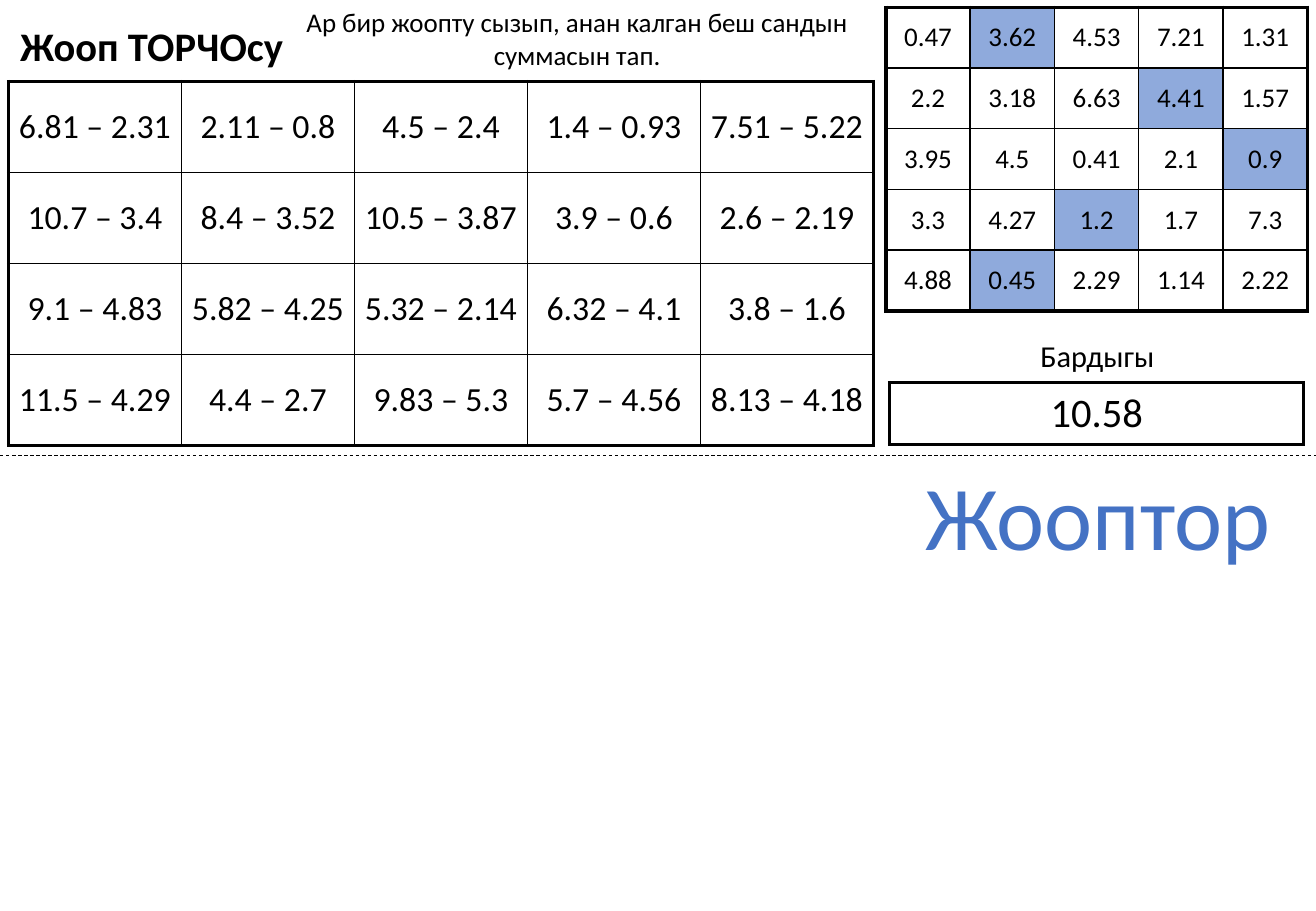
from lxml import etree
from pptx import Presentation
from pptx.dml.color import RGBColor
from pptx.enum.dml import MSO_LINE
from pptx.enum.shapes import MSO_CONNECTOR
from pptx.enum.text import MSO_ANCHOR, MSO_AUTO_SIZE, PP_ALIGN
from pptx.oxml.ns import qn
from pptx.util import Inches, Pt

LEFT, CENTER = PP_ALIGN.LEFT, PP_ALIGN.CENTER
MIDDLE = MSO_ANCHOR.MIDDLE
FIT_TEXT = MSO_AUTO_SIZE.SHAPE_TO_FIT_TEXT
STRAIGHT = MSO_CONNECTOR.STRAIGHT
DASH = MSO_LINE.DASH

COLORS = {"ink": "000000", "paper": "FFFFFF", "left_over": "8FAADC", "answers": "4472C4"}
FONT = "Calibri"
SLIDE_WIDTH, SLIDE_HEIGHT = 10.83, 7.5
OUTER_LINE, INNER_LINE = 2.25, 1

ANSWERS = [
    ["0.47", "3.62", "4.53", "7.21", "1.31"],
    ["2.2", "3.18", "6.63", "4.41", "1.57"],
    ["3.95", "4.5", "0.41", "2.1", "0.9"],
    ["3.3", "4.27", "1.2", "1.7", "7.3"],
    ["4.88", "0.45", "2.29", "1.14", "2.22"],
]
LEFT_OVER = {"3.62", "4.41", "0.9", "1.2", "0.45"}
QUESTIONS = [
    ["6.81 – 2.31", "2.11 – 0.8", "4.5 – 2.4", "1.4 – 0.93", "7.51 – 5.22"],
    ["10.7 – 3.4", "8.4 – 3.52", "10.5 – 3.87", "3.9 – 0.6", "2.6 – 2.19"],
    ["9.1 – 4.83", "5.82 – 4.25", "5.32 – 2.14", "6.32 – 4.1", "3.8 – 1.6"],
    ["11.5 – 4.29", "4.4 – 2.7", "9.83 – 5.3", "5.7 – 4.56", "8.13 – 4.18"],
]
TOTAL = [["10.58"]]


def color(name):
    return RGBColor.from_string(COLORS[name])


def write(frame, text, size, ink="ink", bold=False, align=CENTER):
    para = frame.paragraphs[0]
    para.alignment = align
    span = para.add_run()
    span.text = text
    span.font.name = FONT
    span.font.size = Pt(size)
    span.font.bold = bold
    span.font.color.rgb = color(ink)


def add_borders(cell, widths):
    """Draw the cell's edges; widths are points for left, right, top, bottom."""
    properties = cell._tc.get_or_add_tcPr()
    for tag, width in zip(("a:lnL", "a:lnR", "a:lnT", "a:lnB"), widths):
        line = etree.SubElement(properties, qn(tag), w=str(Pt(width)))
        fill = etree.SubElement(line, qn("a:solidFill"))
        etree.SubElement(fill, qn("a:srgbClr"), val=COLORS["ink"])


class Worksheet:
    def __init__(self, deck):
        self.page = deck.slides.add_slide(deck.slide_layouts[6])

    def text(self, text, left, top, width, height, wrap=True, **style):
        box = self.page.shapes.add_textbox(
            Inches(left), Inches(top), Inches(width), Inches(height))
        box.text_frame.word_wrap = wrap
        box.text_frame.auto_size = FIT_TEXT
        write(box.text_frame, text, **style)

    def grid(self, rows, left, top, width, height, size, side_margin=0.1, marked=()):
        """Add a table of equal cells with a heavy outer edge."""
        last_row, last_column = len(rows) - 1, len(rows[0]) - 1
        table = self.page.shapes.add_table(
            len(rows), len(rows[0]),
            Inches(left), Inches(top), Inches(width), Inches(height)).table
        table.first_row = table.horz_banding = False
        for r, values in enumerate(rows):
            for c, value in enumerate(values):
                cell = table.cell(r, c)
                cell.vertical_anchor = MIDDLE
                cell.margin_left = cell.margin_right = Inches(side_margin)
                on_edge = (c == 0, c == last_column, r == 0, r == last_row)
                add_borders(cell, [OUTER_LINE if edge else INNER_LINE for edge in on_edge])
                cell.fill.solid()
                cell.fill.fore_color.rgb = color("left_over" if value in marked else "paper")
                write(cell.text_frame, value, size)

    def cut_line(self, top):
        line = self.page.shapes.add_connector(
            STRAIGHT, Inches(0), Inches(top), Inches(SLIDE_WIDTH), Inches(top))
        line.line.color.rgb = color("ink")
        line.line.width = Pt(0.5)
        line.line.dash_style = DASH
        etree.SubElement(line._element.spPr, qn("a:effectLst"))


def main():
    deck = Presentation()
    deck.slide_width, deck.slide_height = Inches(SLIDE_WIDTH), Inches(SLIDE_HEIGHT)
    sheet = Worksheet(deck)
    sheet.grid(ANSWERS, 7.29, 0.06, 3.47, 2.5, size=16, marked=LEFT_OVER)
    sheet.grid(QUESTIONS, 0.07, 0.67, 7.12, 3, size=20, side_margin=0.05)
    sheet.grid(TOTAL, 7.32, 3.15, 3.41, 0.5, size=24)
    sheet.text("Бардыгы", 7.37, 2.73, 3.32, 0.4, size=18)
    sheet.cut_line(3.75)
    sheet.text("Ар бир жоопту сызып, анан калган беш сандын суммасын тап.",
               2.22, 0, 5.06, 0.64, size=16)
    sheet.text("Жооптор", 7.34, 3.73, 3.39, 1.01, wrap=False, size=54, ink="answers")
    sheet.text("Жооп ТОРЧОсу", 0.07, 0.12, 5.42, 0.5, size=24, bold=True, align=LEFT)
    deck.save("out.pptx")


if __name__ == "__main__":
    main()
